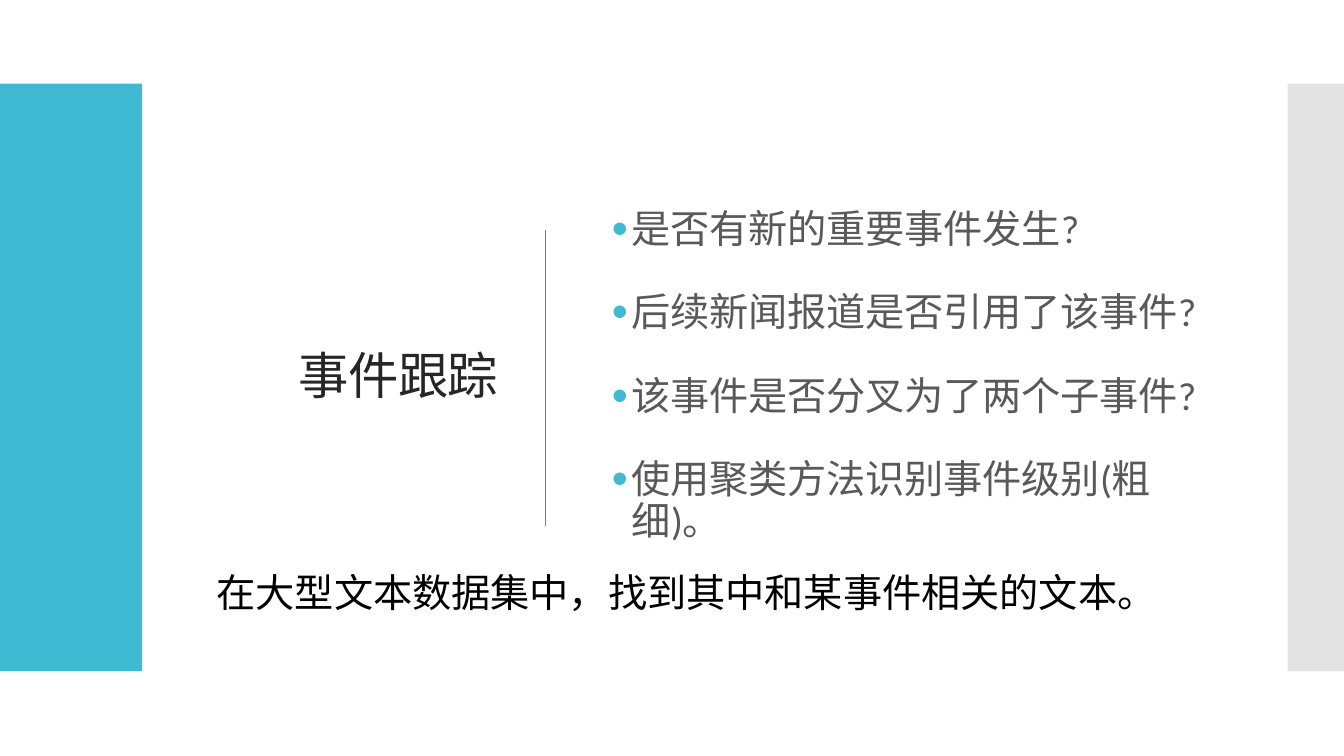
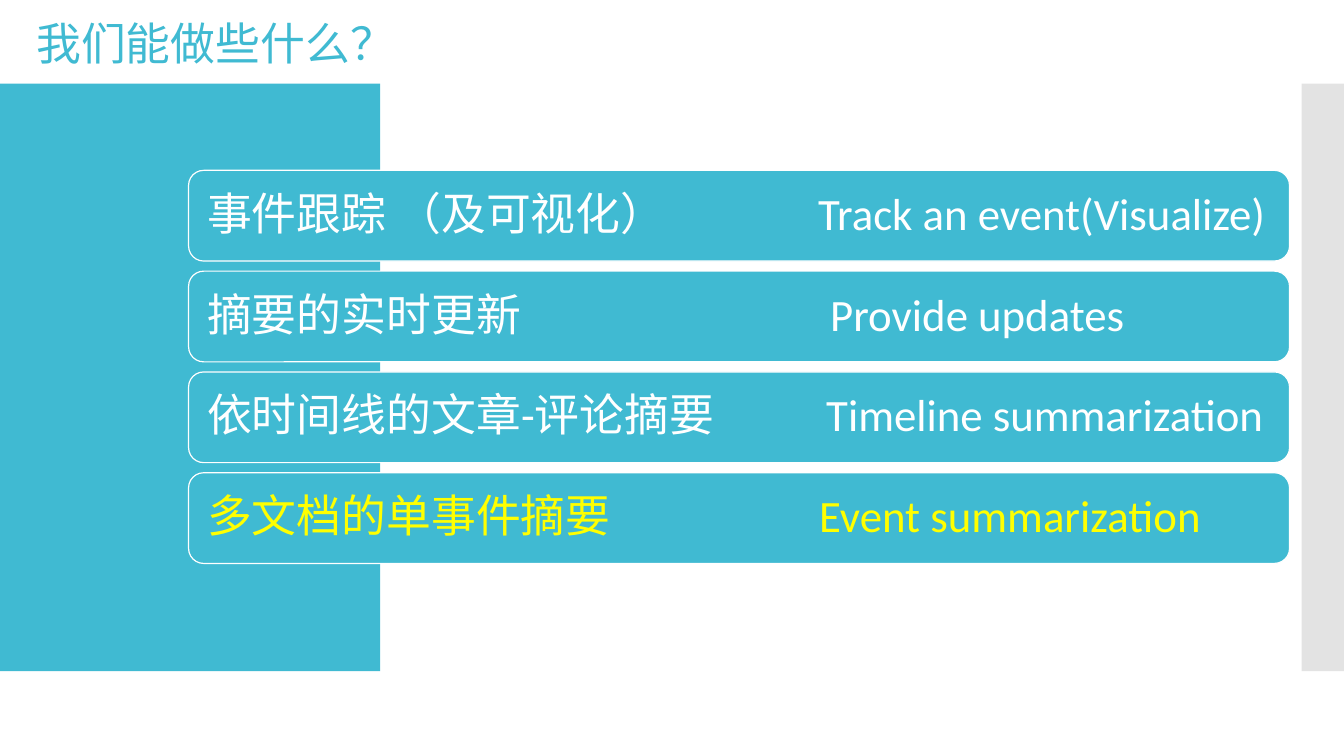
"""Build two slides on event tracking and what can be done."""
from dataclasses import dataclass

from lxml import etree
from pptx import Presentation
from pptx.dml.color import RGBColor
from pptx.enum.lang import MSO_LANGUAGE_ID
from pptx.enum.shapes import MSO_CONNECTOR, MSO_SHAPE
from pptx.enum.text import MSO_ANCHOR, MSO_AUTO_SIZE, PP_ALIGN
from pptx.oxml.ns import qn
from pptx.util import Inches, Pt

RECT = MSO_SHAPE.RECTANGLE
ROUND = MSO_SHAPE.ROUNDED_RECTANGLE
LINE = MSO_CONNECTOR.STRAIGHT
MIDDLE = MSO_ANCHOR.MIDDLE
FIXED = MSO_AUTO_SIZE.NONE
LEFT = PP_ALIGN.LEFT
RIGHT = PP_ALIGN.RIGHT
CHINESE = MSO_LANGUAGE_ID.SIMPLIFIED_CHINESE

FONT = "Calibri"
COLORS = {
    "teal": "40BAD2",
    "band": "E3E3E3",
    "rule": "808080",
    "title": "262626",
    "body": "595959",
    "black": "000000",
    "white": "FFFFFF",
    "yellow": "FFFF00",
}
WIDTH = 13.33
BAND_TOP, BAND_HIGH = 0.83, 5.83


@dataclass
class Box:
    left: float
    top: float
    width: float
    height: float

    def sizes(self) -> tuple:
        return tuple(Inches(n) for n in (self.left, self.top, self.width, self.height))


@dataclass
class Style:
    size: float
    color: str
    align: PP_ALIGN = LEFT
    track: float = 0


@dataclass
class Row:
    label: str
    english: str
    tab: float
    color: str = "white"


POINTS = [
    "是否有新的重要事件发生?",
    "后续新闻报道是否引用了该事件?",
    "该事件是否分叉为了两个子事件?",
    "使用聚类方法识别事件级别(粗细)。",
]
ROWS = [
    Row("事件跟踪 （及可视化）", "Track an event(Visualize)", 6.06),
    Row("摘要的实时更新", "Provide updates", 6.18),
    Row("依时间线的文章-评论摘要", "Timeline summarization", 6.14),
    Row("多文档的单事件摘要", "Event summarization", 6.07, "yellow"),
]


def rgb(name: str) -> RGBColor:
    return RGBColor.from_string(COLORS[name])


def add_tag(parent, tag: str, **attrs: str):
    return etree.SubElement(parent, qn(tag), attrs)


def style_text(para, style: Style) -> None:
    para.alignment = style.align
    for run in para.runs:
        font = run.font
        font.name = FONT
        font.size = Pt(style.size)
        font.color.rgb = rgb(style.color)
        font.language_id = CHINESE
        if style.track:
            run._r.get_or_add_rPr().set("spc", str(round(style.track * 100)))


def add_block(slide, kind: MSO_SHAPE, box: Box, fill: str):
    shape = slide.shapes.add_shape(kind, *box.sizes())
    shape.shadow.inherit = False
    shape.fill.solid()
    shape.fill.fore_color.rgb = rgb(fill)
    shape.line.fill.background()
    return shape


def add_bands(slide, wide: float, slim: float) -> None:
    add_block(slide, RECT, Box(0, BAND_TOP, wide, BAND_HIGH), "teal")
    add_block(slide, RECT, Box(WIDTH - slim, BAND_TOP, slim, BAND_HIGH), "band")


def set_title(slide, text: str, box: Box, style: Style, inset: float = 0.1) -> None:
    title = slide.shapes.title
    title.left, title.top, title.width, title.height = box.sizes()
    frame = title.text_frame
    frame.text = text
    frame.auto_size = FIXED
    frame.vertical_anchor = MIDDLE
    frame.margin_left = frame.margin_right = Inches(inset)
    frame.margin_top = frame.margin_bottom = 0
    para = frame.paragraphs[0]
    para.line_spacing = 0.9
    style_text(para, style)


def add_text(slide, box: Box):
    frame = slide.shapes.add_textbox(*box.sizes()).text_frame
    frame.word_wrap = True
    return frame


def add_rule(slide, x: float, top: float, end: float) -> None:
    rule = slide.shapes.add_connector(LINE, Inches(x), Inches(top), Inches(x), Inches(end))
    rule.line.color.rgb = rgb("rule")
    rule.line.width = Pt(1)
    add_tag(rule._element.spPr, "a:effectLst")


def set_bullet(para) -> None:
    props = para._p.get_or_add_pPr()
    props.set("marL", str(Inches(0.39)))
    props.set("indent", str(Inches(-0.2)))
    add_tag(add_tag(props, "a:buClr"), "a:srgbClr", val=COLORS["teal"])
    add_tag(props, "a:buSzPct", val="117000")
    add_tag(props, "a:buFont", typeface="Arial")
    add_tag(props, "a:buChar", char="•")


def add_points(slide, box: Box, points: list[str]) -> None:
    frame = add_text(slide, box)
    frame.vertical_anchor = MIDDLE
    for i, point in enumerate(points):
        para = frame.add_paragraph() if i else frame.paragraphs[0]
        para.text = point
        set_bullet(para)
        para.line_spacing = 0.9
        if i:
            para.space_before = Pt(29.3)
        style_text(para, Style(28, "body", track=-0.1))


def add_row(slide, row: Row, top: float) -> None:
    shape = add_block(slide, ROUND, Box(1.87, top, 10.92, 0.9), "teal")
    shape.line.color.rgb = rgb("white")
    shape.line.width = Pt(0.85)
    frame = shape.text_frame
    frame.word_wrap = True
    frame.vertical_anchor = MIDDLE
    frame.margin_left = Inches(0.14)
    frame.margin_right = Inches(0.1)
    para = frame.paragraphs[0]
    para.text = f"{row.label}\t{row.english}"
    tabs = add_tag(para._p.get_or_add_pPr(), "a:tabLst")
    add_tag(tabs, "a:tab", pos=str(Inches(row.tab)), algn="l")
    para.line_spacing = 0.9
    style_text(para, Style(32, row.color))


def draw_track(slide) -> None:
    add_bands(slide, 1.41, 0.56)
    set_title(slide, "事件跟踪", Box(1.68, 0.95, 3.36, 5.6), Style(36, "title", RIGHT, -0.6))
    add_rule(slide, 5.41, 2.28, 5.22)
    add_points(slide, Box(5.78, 0.94, 6.46, 5.6), POINTS)
    note = add_text(slide, Box(2.05, 5.59, 9.85, 0.57))
    note.text = "在大型文本数据集中，找到其中和某事件相关的文本。"
    style_text(note.paragraphs[0], Style(28, "black"))


def draw_tasks(slide) -> None:
    add_bands(slide, 3.77, 0.42)
    set_title(slide, "我们能做些什么？", Box(0.36, 0.18, 3.83, 0.55), Style(32, "teal"), 0)
    for i, row in enumerate(ROWS):
        add_row(slide, row, 1.69 + i)


def main() -> None:
    deck = Presentation()
    deck.slide_width = Inches(WIDTH)
    deck.slide_height = Inches(7.5)
    for draw in (draw_track, draw_tasks):
        draw(deck.slides.add_slide(deck.slide_layouts[5]))
    deck.save("out.pptx")


if __name__ == "__main__":
    main()
